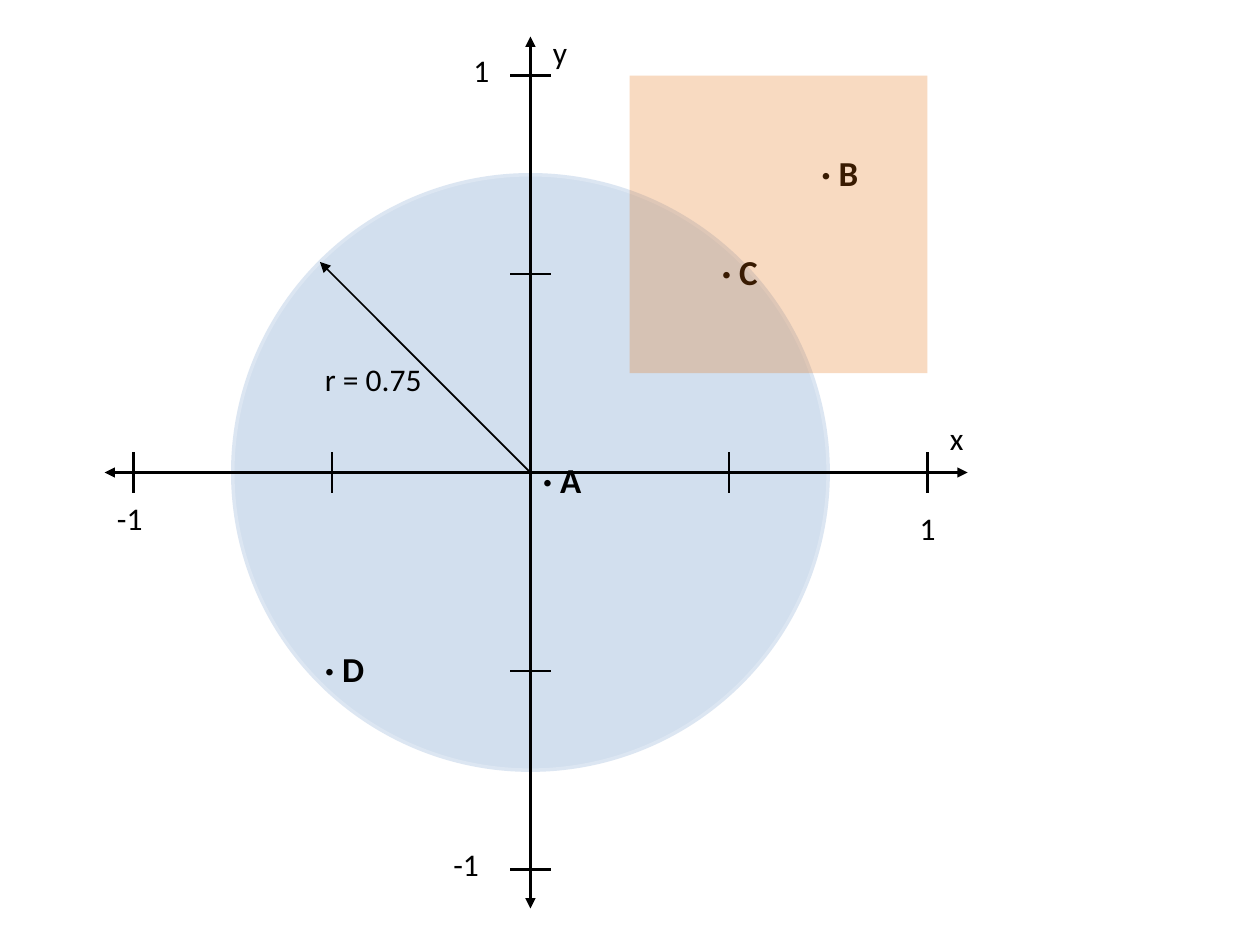
from dataclasses import dataclass

from lxml import etree
from pptx import Presentation
from pptx.dml.color import RGBColor
from pptx.enum.shapes import MSO_CONNECTOR, MSO_SHAPE
from pptx.enum.text import MSO_AUTO_SIZE
from pptx.oxml.ns import qn
from pptx.util import Inches, Pt

STRAIGHT = MSO_CONNECTOR.STRAIGHT
OVAL = MSO_SHAPE.OVAL
RECTANGLE = MSO_SHAPE.RECTANGLE
FIT_SHAPE = MSO_AUTO_SIZE.SHAPE_TO_FIT_TEXT


@dataclass(frozen=True)
class Theme:
    font: str = "Calibri"
    ink: str = "000000"
    disc: str = "4F81BD"
    disc_edge: str = "DCE6F2"
    square: str = "E46C0A"
    opacity: int = 25
    label_size: int = 18
    point_size: int = 20
    axis_width: float = 1.5
    radius_width: float = 1


THEME = Theme()

# Coordinate system: the origin on the slide and the length of one unit
ORIGIN_X, ORIGIN_Y = 4.21, 3.75
UNIT = 3.15
RADIUS = 0.75
TICK_HALF = 0.16


def slide_x(x):
    return ORIGIN_X + x * UNIT


def slide_y(y):
    return ORIGIN_Y - y * UNIT


def add_line(slide, start, end, width=THEME.axis_width, arrows=()):
    """Arrows holds any of "headEnd" (at start) and "tailEnd" (at end)."""
    connector = slide.shapes.add_connector(STRAIGHT, *map(Inches, (*start, *end)))
    connector.line.color.rgb = RGBColor.from_string(THEME.ink)
    connector.line.width = Pt(width)
    for arrow in arrows:
        etree.SubElement(connector.line._get_or_add_ln(), qn("a:" + arrow), type="triangle")
    etree.SubElement(connector._element.spPr, qn("a:effectLst"))


def add_region(slide, kind, left, top, right, bottom, color, edge=None):
    """Draw a translucent region between two corners in plot units."""
    shape = slide.shapes.add_shape(
        kind, Inches(slide_x(left)), Inches(slide_y(top)),
        Inches((right - left) * UNIT), Inches((top - bottom) * UNIT))
    shape.shadow.inherit = False
    shape.fill.solid()
    shape.fill.fore_color.rgb = RGBColor.from_string(color)
    color_element = shape._element.spPr.find(qn("a:solidFill"))[0]
    etree.SubElement(color_element, qn("a:alpha"), val=str(THEME.opacity * 1000))
    if edge:
        shape.line.color.rgb = RGBColor.from_string(edge)
        shape.line.width = Pt(2)
    else:
        shape.line.fill.background()


def add_label(slide, text, left, top, width, height=0.4,
              size=THEME.label_size, bold=False, wrap=False):
    box = slide.shapes.add_textbox(*map(Inches, (left, top, width, height)))
    frame = box.text_frame
    frame.word_wrap = wrap
    frame.auto_size = FIT_SHAPE
    frame.text = text
    font = frame.paragraphs[0].runs[0].font
    font.name = THEME.font
    font.size = Pt(size)
    font.bold = bold
    font.color.rgb = RGBColor.from_string(THEME.ink)


def add_point(slide, name, left, top):
    add_label(slide, f"· {name}", left, top, 0.71, 0.44,
              THEME.point_size, bold=True, wrap=True)


def add_axes(slide):
    both_ends = ("headEnd", "tailEnd")
    add_line(slide, (ORIGIN_X, 0.29), (ORIGIN_X, 7.21), arrows=both_ends)
    add_line(slide, (0.83, ORIGIN_Y), (7.68, ORIGIN_Y), arrows=both_ends)
    for value in (-1, -0.5, 0.5, 1):
        x, y = slide_x(value), slide_y(value)
        add_line(slide, (x, ORIGIN_Y - TICK_HALF), (x, ORIGIN_Y + TICK_HALF))
        add_line(slide, (ORIGIN_X - TICK_HALF, y), (ORIGIN_X + TICK_HALF, y))

    # Axis names and end values
    add_label(slide, "x", 7.44, 3.28, 0.31)
    add_label(slide, "y", 4.29, 0.21, 0.32)
    add_label(slide, "1", 7.2, 3.99, 0.33)
    add_label(slide, "1", 3.66, 0.36, 0.33)
    add_label(slide, "-1", 3.5, 6.66, 0.47, wrap=True)
    add_label(slide, "-1", 0.83, 3.91, 0.47, wrap=True)


def main():
    presentation = Presentation()
    presentation.slide_width = Inches(10)
    presentation.slide_height = Inches(7.5)
    slide = presentation.slides.add_slide(presentation.slide_layouts[6])

    # Disc below the axes
    add_region(slide, OVAL, -RADIUS, RADIUS, RADIUS, -RADIUS,
               THEME.disc, THEME.disc_edge)
    add_axes(slide)

    # Named points
    for name, left, top in (("A", 4.21, 3.59), ("B", 6.42, 1.15),
                            ("C", 5.63, 1.94), ("D", 2.48, 5.09)):
        add_point(slide, name, left, top)

    # Radius at 45 degrees
    reach = RADIUS / 2 ** 0.5
    add_line(slide, (ORIGIN_X, ORIGIN_Y), (slide_x(-reach), slide_y(reach)),
             THEME.radius_width, ("tailEnd",))
    add_label(slide, "r = 0.75", 2.48, 2.81, 0.98)

    # Square on top
    add_region(slide, RECTANGLE, 0.25, 1, 1, 0.25, THEME.square)

    presentation.save("out.pptx")


main()
